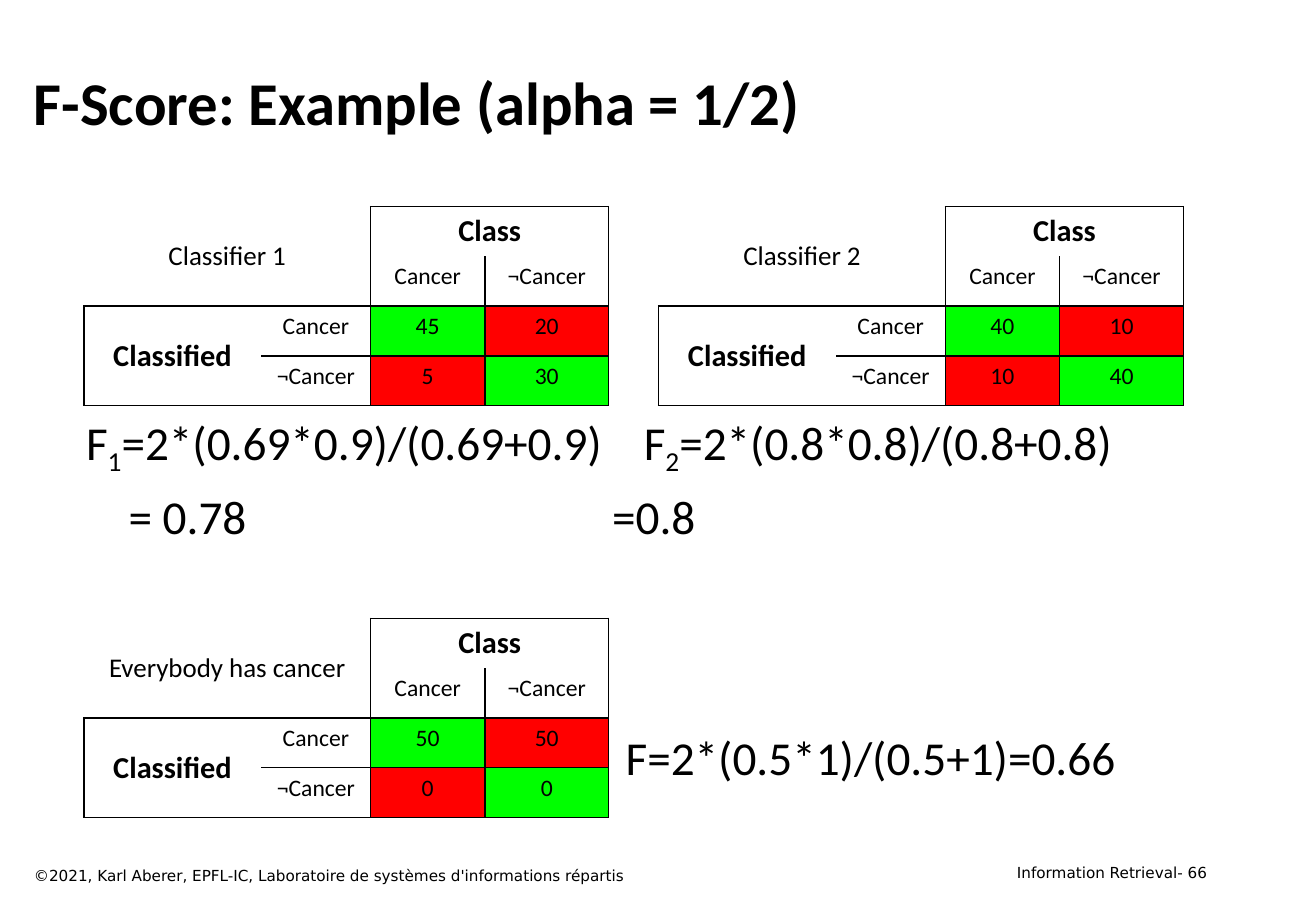
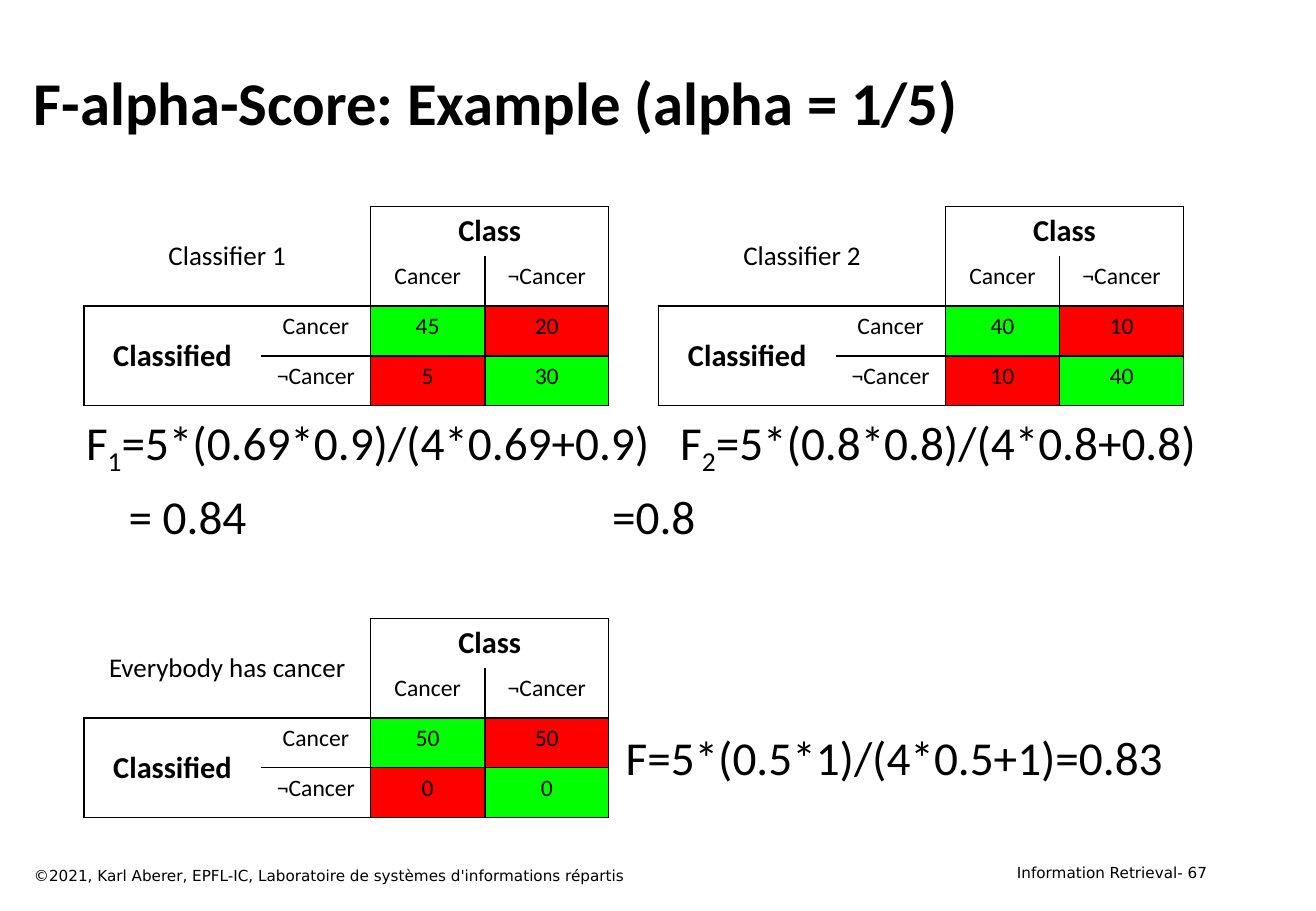
from pptx import Presentation
from pptx.dml.color import RGBColor
from pptx.enum.text import MSO_ANCHOR as Anchor, PP_ALIGN as Align
from pptx.oxml.ns import qn
from pptx.util import Inches, Pt
from lxml.etree import SubElement

# Shared style
BLACK, GREEN, RED = "000000", "00FF00", "FF0000"
BODY_FONT, FOOTER_FONT = "Calibri", "DejaVu Sans"
FORMULA_SIZE = 28

# Confusion table geometry and the visible edges of each cell
COLUMN_WIDTHS = (1.46, 0.9, 0.94, 1.02)
ROW_HEIGHT = 0.41
EDGES = (
    ("RB", "RB", "LRT", "LRT"),
    ("RB", "RB", "LRB", "LRB"),
    ("LTB", "RTB", "LRTB", "LRTB"),
    ("LTB", "RTB", "LRTB", "LRTB"),
)

# Caption, place and counts of the tables, the same on both slides
CLASSIFIERS = (
    ("Classifier 1", 0.69, 1.7, ((45, 20), (5, 30))),
    ("Classifier 2", 5.42, 1.7, ((40, 10), (10, 40))),
    ("Everybody has cancer", 0.69, 5.09, ((50, 50), (0, 0))),
)

# Title, page, formulas, results, tab of the second formula, last formula
EXAMPLES = (
    ("F-Score: Example (alpha = 1/2)", 66,
     ("=2*(0.69*0.9)/(0.69+0.9)", "=2*(0.8*0.8)/(0.8+0.8)"),
     ("= 0.78", "=0.8"), 4.59, "F=2*(0.5*1)/(0.5+1)=0.66"),
    ("F-alpha-Score: Example (alpha = 1/5)", 67,
     ("=5*(0.69*0.9)/(4*0.69+0.9)", "=5*(0.8*0.8)/(4*0.8+0.8)"),
     ("= 0.84", "=0.8"), 4.89, "F=5*(0.5*1)/(4*0.5+1)=0.83"),
)


def color(hex_value):
    return RGBColor.from_string(hex_value)


def style(paragraph, size, font=BODY_FONT, bold=False, align=Align.LEFT):
    paragraph.alignment = align
    paragraph.font.name = font
    paragraph.font.size = Pt(size)
    paragraph.font.bold = bold
    paragraph.font.color.rgb = color(BLACK)


def add_frame(slide, box, anchor=Anchor.TOP, wrap=True):
    frame = slide.shapes.add_textbox(*map(Inches, box)).text_frame
    frame.word_wrap = wrap
    frame.vertical_anchor = anchor
    return frame


def add_line(slide, box, text, size, anchor=Anchor.TOP, wrap=True, **look):
    paragraph = add_frame(slide, box, anchor, wrap).paragraphs[0]
    paragraph.text = text
    style(paragraph, size, **look)


def add_title_and_footers(slide, title, page):
    add_line(slide, (0.18, 0.33, 9.84, 1), title, 36, Anchor.MIDDLE, bold=True)
    add_line(slide, (0.18, 7.08, 6.95, 0.25),
             "©2021, Karl Aberer, EPFL-IC, Laboratoire de systèmes d'informations répartis",
             9, font=FOOTER_FONT)
    add_line(slide, (7.77, 7.06, 2.26, 0.25), f"Information Retrieval- {page}",
             9, font=FOOTER_FONT, align=Align.RIGHT)


def set_edges(cell, visible):
    properties = cell._tc.get_or_add_tcPr()
    for side in "LRTB":
        line = SubElement(properties, qn(f"a:ln{side}"), w=str(Pt(1)))
        if side in visible:
            fill = SubElement(line, qn("a:solidFill"))
            SubElement(fill, qn("a:srgbClr"), val=BLACK)
        else:
            SubElement(line, qn("a:noFill"))


def fill_cell(cell, text, size=14, bold=False, anchor=Anchor.TOP):
    cell.text = str(text)
    cell.vertical_anchor = anchor
    style(cell.text_frame.paragraphs[0], size, bold=bold, align=Align.CENTER)


def add_confusion_table(slide, caption, left, top, counts):
    rows, columns = len(EDGES), len(COLUMN_WIDTHS)
    table = slide.shapes.add_table(
        rows, columns, Inches(left), Inches(top),
        Inches(sum(COLUMN_WIDTHS)), Inches(rows * ROW_HEIGHT)).table
    table.first_row = table.horz_banding = False
    for column, width in zip(table.columns, COLUMN_WIDTHS):
        column.width = Inches(width)
    for row in table.rows:
        row.height = Inches(ROW_HEIGHT)

    for r, row_edges in enumerate(EDGES):
        for c, visible in enumerate(row_edges):
            cell = table.cell(r, c)
            set_edges(cell, visible)
            cell.fill.background()

    # Merged headings
    for first, last, text, size, bold in (
            ((0, 0), (1, 1), caption, 16, False),
            ((0, 2), (0, 3), "Class", 18, True),
            ((2, 0), (3, 0), "Classified", 18, True)):
        heading = table.cell(*first)
        heading.merge(table.cell(*last))
        fill_cell(heading, text, size, bold, Anchor.MIDDLE)

    # Class labels, and counts with the right answers on the diagonal
    for i, label in enumerate(("Cancer", "¬Cancer")):
        fill_cell(table.cell(1, 2 + i), label)
        fill_cell(table.cell(2 + i, 1), label)
        for j, count in enumerate(counts[i]):
            cell = table.cell(2 + i, 2 + j)
            fill_cell(cell, count)
            cell.fill.solid()
            cell.fill.fore_color.rgb = color(GREEN if i == j else RED)


def add_tabs(paragraph, *stops):
    tabs = SubElement(paragraph._p.get_or_add_pPr(), qn("a:tabLst"))
    for stop in stops:
        SubElement(tabs, qn("a:tab"), pos=str(Inches(stop)), algn="l")


def add_formulas(slide, formulas, results, second_tab):
    frame = add_frame(slide, (0.61, 3.35, 9.53, 1.2))
    scores = frame.paragraphs[0]
    add_tabs(scores, second_tab)
    style(scores, FORMULA_SIZE)
    for number, formula in enumerate(formulas, 1):
        scores.add_run().text = "F" if number == 1 else "\tF"
        index = scores.add_run()
        index.text = str(number)
        index._r.get_or_add_rPr().set("baseline", "-25000")
        scores.add_run().text = formula

    values = frame.add_paragraph()
    add_tabs(values, 0.35, 4.33)
    style(values, FORMULA_SIZE)
    values.space_before = Pt(5.6)
    values.add_run().text = "".join(f"\t{result}" for result in results)


def build_example(prs, title, page, formulas, results, second_tab, baseline_score):
    slide = prs.slides.add_slide(prs.slide_layouts[6])
    add_title_and_footers(slide, title, page)
    add_formulas(slide, formulas, results, second_tab)
    for classifier in CLASSIFIERS:
        add_confusion_table(slide, *classifier)
    add_line(slide, (5.05, 5.95, 4.78, 0.57), baseline_score, FORMULA_SIZE, wrap=False)


def main():
    prs = Presentation()
    prs.slide_width, prs.slide_height = Inches(10.83), Inches(7.5)
    for example in EXAMPLES:
        build_example(prs, *example)
    prs.save("out.pptx")


if __name__ == "__main__":
    main()
